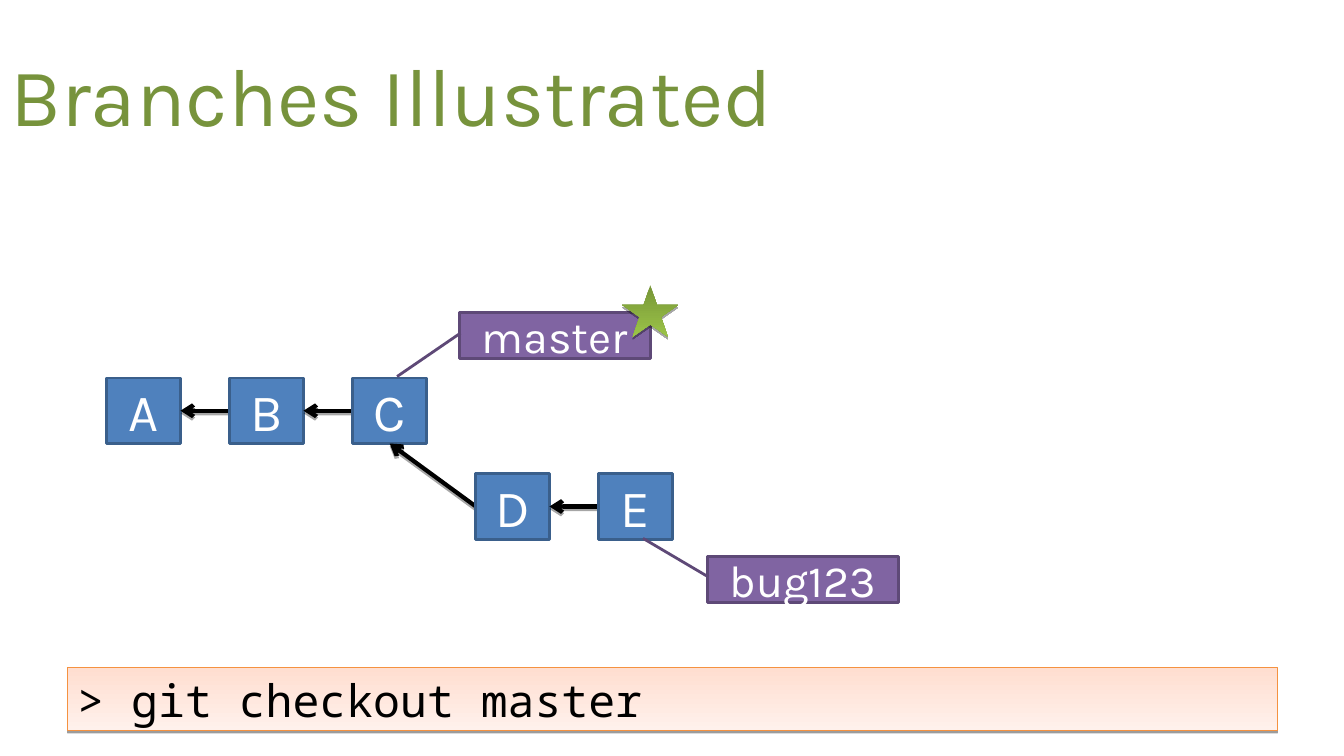
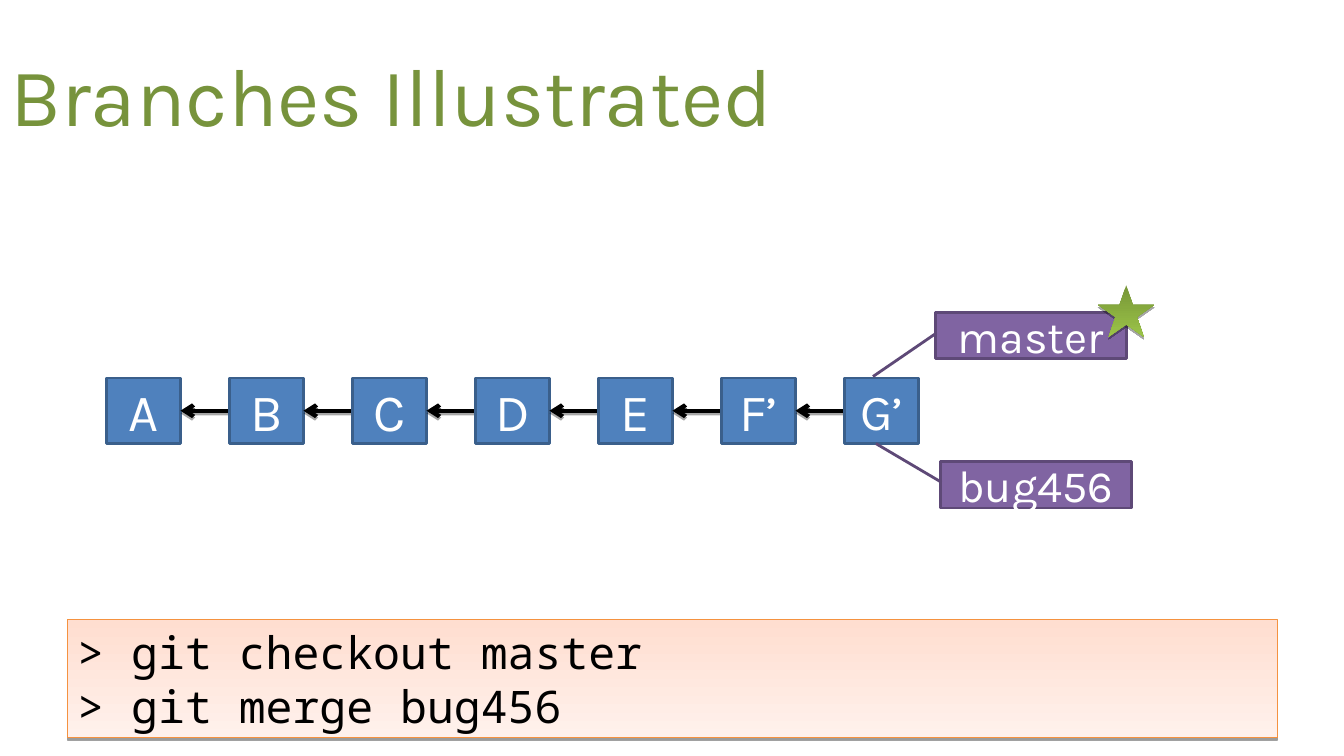
from pptx import Presentation
from pptx.dml.color import RGBColor
from pptx.enum import shapes, text
from pptx.oxml import ns, xmlchemy
from pptx.util import Inches, Pt

GREEN = RGBColor(0x77, 0x93, 0x3C)
BLUE = RGBColor(0x4F, 0x81, 0xBD)
BLUE_EDGE = RGBColor(0x3A, 0x5F, 0x8B)
PURPLE = RGBColor(0x80, 0x64, 0xA2)
PURPLE_EDGE = RGBColor(0x5E, 0x49, 0x77)
PEACH = RGBColor(0xFF, 0xDE, 0xD0)
PEACH_LIGHT = RGBColor(0xFF, 0xF1, 0xEC)
ORANGE = RGBColor(0xF5, 0x92, 0x40)
STAR_DARK = RGBColor(0x77, 0x96, 0x37)
STAR_LIGHT = RGBColor(0x9B, 0xC3, 0x48)
BLACK = RGBColor(0, 0, 0)
WHITE = RGBColor(0xFF, 0xFF, 0xFF)

SANS = "Karla"
MONO = "Noto Sans Mono"
TITLE_ONLY = 5

COMMIT_LEFT, COMMIT_STEP = 1.06, 1.22
COMMIT_WIDTH, COMMIT_HEIGHT = 0.73, 0.65
MAIN_ROW, SIDE_ROW = 3.75, 4.7
CALLOUT_BELOW = (0.446, 0.004, 1.383, -0.329)
CALLOUT_ABOVE = (0.446, 0.004, -0.389, -0.34)


def add_child(parent, tag, **attributes):
    child = xmlchemy.OxmlElement(tag)
    for name, value in attributes.items():
        child.set(name, str(value))
    parent.append(child)
    return child


def add_shadow(shape, distance, opacity):
    properties = shape._element.spPr
    effects = properties.find(ns.qn("a:effectLst"))
    if effects is None:
        effects = add_child(properties, "a:effectLst")
    shadow = add_child(effects, "a:outerShdw", blurRad=0, dist=Pt(distance),
                       dir=5400000, rotWithShape=0)
    color = add_child(shadow, "a:srgbClr", val=BLACK)
    add_child(color, "a:alpha", val=opacity * 1000)


def fill_downward(shape, top_color, bottom_color):
    shape.fill.gradient()
    shape.fill.gradient_angle = 270
    for stop, color, position in zip(shape.fill.gradient_stops,
                                     (top_color, bottom_color), (0, 1)):
        stop.color.rgb = color
        stop.position = position


def add_plain_shape(slide, kind, left, top, width, height):
    shape = slide.shapes.add_shape(kind, Inches(left), Inches(top),
                                   Inches(width), Inches(height))
    shape.shadow.inherit = False
    return shape


def set_text(shape, lines, size, font, color, alignment):
    frame = shape.text_frame
    frame.text = "\n".join(lines)
    for paragraph in frame.paragraphs:
        paragraph.alignment = alignment
        paragraph.font.size = Pt(size)
        paragraph.font.name = font
        paragraph.font.color.rgb = color


def add_label(slide, kind, box, label, size, fill, edge):
    shape = add_plain_shape(slide, kind, *box)
    shape.fill.solid()
    shape.fill.fore_color.rgb = fill
    shape.line.color.rgb = edge
    shape.line.width = Pt(2)
    shape.text_frame.vertical_anchor = text.MSO_ANCHOR.MIDDLE
    set_text(shape, [label], size, SANS, WHITE, text.PP_ALIGN.CENTER)
    return shape


def add_arrow(slide, start, end):
    arrow = slide.shapes.add_connector(shapes.MSO_CONNECTOR.STRAIGHT,
                                       *(Inches(value) for value in start + end))
    arrow.line.color.rgb = BLACK
    arrow.line.width = Pt(3)
    add_child(arrow._element.spPr.find(ns.qn("a:ln")), "a:tailEnd", type="arrow")
    add_shadow(arrow, 1.8, 35)


def add_commit(slide, column, row, label, parent_row=None, size=37.4):
    left = COMMIT_LEFT + column * COMMIT_STEP
    parent_left = left - COMMIT_STEP
    middle = row + COMMIT_HEIGHT / 2
    if parent_row == row:
        add_arrow(slide, (left, middle), (parent_left + COMMIT_WIDTH, middle))
    elif parent_row is not None:
        add_arrow(slide, (left, middle),
                  (parent_left + COMMIT_WIDTH / 2, parent_row + COMMIT_HEIGHT))
    add_label(slide, shapes.MSO_SHAPE.RECTANGLE,
              (left, row, COMMIT_WIDTH, COMMIT_HEIGHT), label, size, BLUE, BLUE_EDGE)


def add_branch(slide, left, top, name, pointer, current=False):
    callout = add_label(slide, shapes.MSO_SHAPE.LINE_CALLOUT_1,
                        (left, top, 1.89, 0.46), name, 32, PURPLE, PURPLE_EDGE)
    for index, value in enumerate(pointer):
        callout.adjustments[index] = value
    if current:
        star = add_plain_shape(slide, shapes.MSO_SHAPE.STAR_5_POINT,
                               left + 1.61, top - 0.27, 0.56, 0.51)
        fill_downward(star, STAR_DARK, STAR_LIGHT)
        star.line.fill.background()
        add_shadow(star, 1.8, 35)


def add_commands(slide, top, height, commands):
    panel = add_plain_shape(slide, shapes.MSO_SHAPE.RECTANGLE, 0.67, top, 12, height)
    fill_downward(panel, PEACH, PEACH_LIGHT)
    panel.line.color.rgb = ORANGE
    panel.line.width = Pt(0.75)
    add_shadow(panel, 1.6, 38)
    panel.text_frame.vertical_anchor = text.MSO_ANCHOR.TOP
    panel.text_frame.auto_size = text.MSO_AUTO_SIZE.SHAPE_TO_FIT_TEXT
    set_text(panel, commands, 32, MONO, BLACK, text.PP_ALIGN.LEFT)


def add_titled_slide(presentation):
    slide = presentation.slides.add_slide(presentation.slide_layouts[TITLE_ONLY])
    title = slide.shapes.title
    title.left, title.top = Inches(0), Inches(0.3)
    title.width, title.height = Inches(12), Inches(1.25)
    title.text_frame.auto_size = text.MSO_AUTO_SIZE.NONE
    title.text_frame.vertical_anchor = text.MSO_ANCHOR.MIDDLE
    set_text(title, ["Branches Illustrated"], 58.7, SANS, GREEN, text.PP_ALIGN.LEFT)
    return slide


def add_checkout_slide(presentation):
    slide = add_titled_slide(presentation)
    add_commands(slide, 6.62, 0.63, ["> git checkout master"])
    parent_row = None
    for column, label in enumerate("ABCDE"):
        row = MAIN_ROW if column < 3 else SIDE_ROW
        add_commit(slide, column, row, label, parent_row)
        parent_row = row
    add_branch(slide, 4.56, 3.1, "master", CALLOUT_BELOW, current=True)
    add_branch(slide, 7.02, 5.52, "bug123", CALLOUT_ABOVE)


def add_merge_slide(presentation):
    slide = add_titled_slide(presentation)
    add_commands(slide, 6.15, 1.17, ["> git checkout master", "> git merge bug456"])
    parent_row = None
    for column, label in enumerate(("A", "B", "C", "D", "E", "F’")):
        add_commit(slide, column, MAIN_ROW, label, parent_row)
        parent_row = MAIN_ROW
    add_commit(slide, 6, MAIN_ROW, "G’", MAIN_ROW, size=36)
    add_branch(slide, 9.28, 3.1, "master", CALLOUT_BELOW, current=True)
    add_branch(slide, 9.33, 4.58, "bug456", CALLOUT_ABOVE)


def main():
    presentation = Presentation()
    presentation.slide_width = Inches(13.33)
    presentation.slide_height = Inches(7.5)
    add_checkout_slide(presentation)
    add_merge_slide(presentation)
    presentation.save("out.pptx")


if __name__ == "__main__":
    main()
